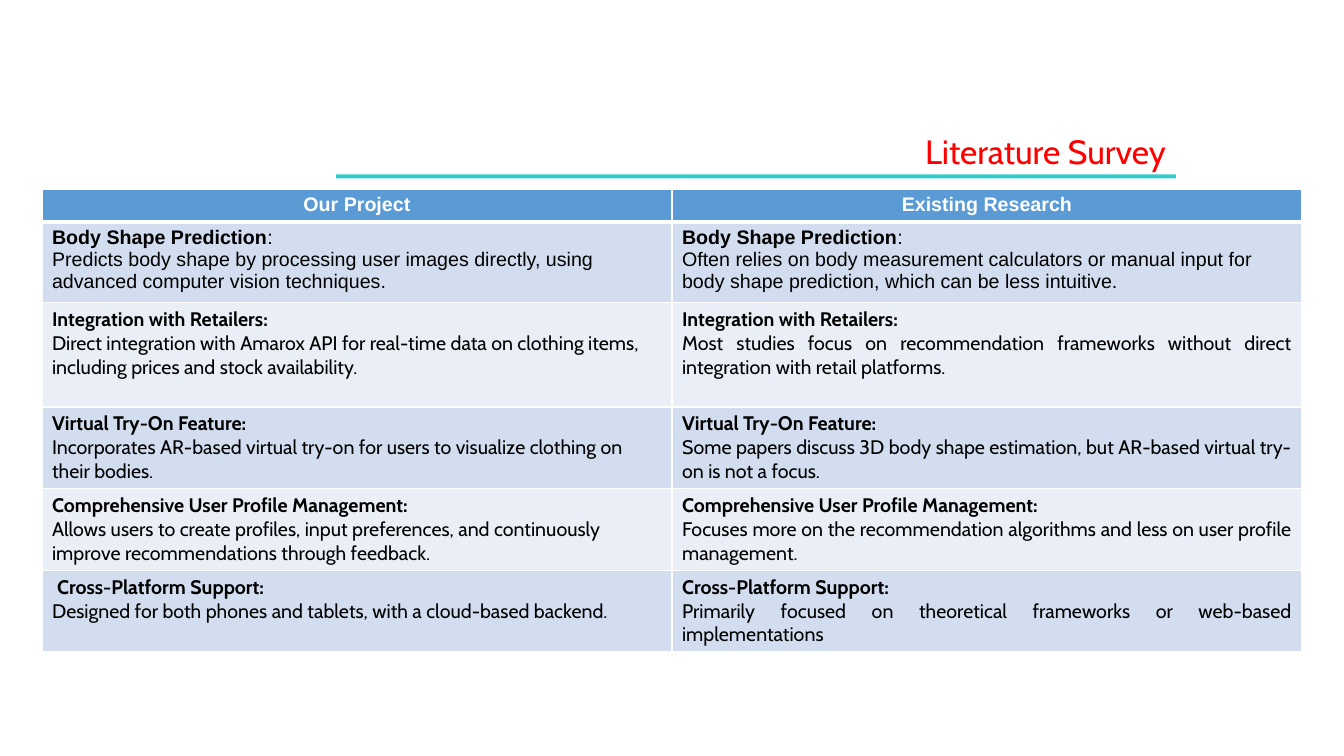
from dataclasses import dataclass

from lxml.etree import SubElement
from pptx import Presentation
from pptx.dml.color import RGBColor
from pptx.enum.shapes import MSO_SHAPE
from pptx.enum.text import MSO_ANCHOR, MSO_AUTO_SIZE, PP_ALIGN as Align
from pptx.oxml.ns import qn
from pptx.util import Emu, Inches, Pt

WHITE = RGBColor(0xFF, 0xFF, 0xFF)
BLACK = RGBColor(0x00, 0x00, 0x00)
RED = RGBColor(0xFF, 0x00, 0x00)
TEAL = RGBColor(0x33, 0xCC, 0xCC)
HEADER_BLUE = RGBColor(0x5B, 0x9B, 0xD5)
BANDS = (RGBColor(0xD2, 0xDE, 0xEF), RGBColor(0xEA, 0xEF, 0xF7))

SLIDE_WIDTH, SLIDE_HEIGHT = Inches(13.33), Inches(7.5)
GRID_COLUMNS, GRID_ROWS = 64, 36
HEADINGS = ("Our Project", "Existing Research")
HEADER_ROWS = 1.56


@dataclass(frozen=True)
class Area:
    left: float
    top: float
    width: float
    height: float


@dataclass(frozen=True)
class Topic:
    heading: str
    ours: str
    existing: str
    rows: float = 3.86
    font: str = "Cabin"
    bold_colon: bool = True
    existing_align: Align = Align.JUSTIFY
    our_indent: float = 0


TOPICS = (
    Topic("Body Shape Prediction",
          "Predicts body shape by processing user images directly, using advanced computer vision techniques.",
          "Often relies on body measurement calculators or manual input for body shape prediction, "
          "which can be less intuitive.",
          font="Arial", bold_colon=False, existing_align=Align.LEFT),
    Topic("Integration with Retailers",
          "Direct integration with Amarox API for real-time data on clothing items, "
          "including prices and stock availability.",
          "Most studies focus on recommendation frameworks without direct integration with retail platforms.",
          rows=4.96),
    Topic("Virtual Try-On Feature",
          "Incorporates AR-based virtual try-on for users to visualize clothing on their bodies.",
          "Some papers discuss 3D body shape estimation, but AR-based virtual try-on is not a focus."),
    Topic("Comprehensive User Profile Management",
          "Allows users to create profiles, input preferences, and continuously "
          "improve recommendations through feedback.",
          "Focuses more on the recommendation algorithms and less on user profile management."),
    Topic("Cross-Platform Support",
          "Designed for both phones and tablets, with a cloud-based backend.",
          "Primarily focused on theoretical frameworks or web-based implementations",
          our_indent=0.05),
)

TITLE_AREA = Area(22, 6, 34, 2.4)
RULE_AREA = Area(16, 8.3, 40, 0.2)
TABLE_AREA = Area(2, 9, 60, HEADER_ROWS + sum(topic.rows for topic in TOPICS))


def across(columns: float) -> Emu:
    """Convert grid columns to a length."""
    return Emu(round(SLIDE_WIDTH * columns / GRID_COLUMNS))


def down(rows: float) -> Emu:
    """Convert grid rows to a length."""
    return Emu(round(SLIDE_HEIGHT * rows / GRID_ROWS))


def frame(area: Area) -> tuple[Emu, Emu, Emu, Emu]:
    """Return the left, top, width and height of a grid area."""
    return across(area.left), down(area.top), across(area.width), down(area.height)


def style(span, font: str, size: float, color: RGBColor, bold: bool = False) -> None:
    """Format one run of text."""
    span.font.name, span.font.size, span.font.bold = font, Pt(size), bold
    span.font.color.rgb = color


def paint(cell, fill: RGBColor, top: float = 1, bottom: float = 1) -> None:
    """Fill a cell and give it white borders."""
    properties = cell._tc.get_or_add_tcPr()
    for side, points in (("L", 1), ("R", 1), ("T", top), ("B", bottom)):
        line = SubElement(properties, qn(f"a:ln{side}"), w=str(Pt(points)))
        solid = SubElement(line, qn("a:solidFill"))
        SubElement(solid, qn("a:srgbClr"), val=str(WHITE))
    cell.fill.solid()
    cell.fill.fore_color.rgb = fill


def write_topic(cell, topic: Topic, body: str, align: Align, indent: float) -> None:
    """Write a bold heading and its description in a cell."""
    cell.text_frame.text = f"{topic.heading}\n{body}"
    heading, description = cell.text_frame.paragraphs
    heading._p.get_or_add_pPr().set("indent", str(Inches(indent)))
    heading.add_run().text = ":"
    for para in (heading, description):
        para.alignment = align
    name, colon = heading.runs
    style(name, topic.font, 14, BLACK, True)
    style(colon, topic.font, 14, BLACK, topic.bold_colon)
    style(description.runs[0], topic.font, 14, BLACK)


def add_title(page) -> None:
    """Place the title and the rule under it."""
    rule = page.shapes.add_shape(MSO_SHAPE.RECTANGLE, *frame(RULE_AREA))
    rule.shadow.inherit = False
    rule.fill.solid()
    rule.fill.fore_color.rgb = TEAL
    rule.line.fill.background()
    title = page.shapes.title
    title.left, title.top, title.width, title.height = frame(TITLE_AREA)
    title.text_frame.text = "Literature Survey"
    title.text_frame.auto_size = MSO_AUTO_SIZE.NONE
    title.text_frame.vertical_anchor = MSO_ANCHOR.TOP
    para = title.text_frame.paragraphs[0]
    para.alignment = Align.RIGHT
    style(para.runs[0], "Cabin", 24, RED)


def add_comparison(page) -> None:
    """Build the table that compares the project with existing research."""
    table = page.shapes.add_table(len(TOPICS) + 1, len(HEADINGS), *frame(TABLE_AREA)).table
    table.rows[0].height = down(HEADER_ROWS)
    for column, heading in enumerate(HEADINGS):
        cell = table.cell(0, column)
        cell.text_frame.text = heading
        para = cell.text_frame.paragraphs[0]
        para.alignment = Align.CENTER
        style(para.runs[0], "Arial", 14, WHITE, True)
        paint(cell, HEADER_BLUE, bottom=3)
    for row, topic in enumerate(TOPICS, start=1):
        table.rows[row].height = down(topic.rows)
        ours, existing = table.cell(row, 0), table.cell(row, 1)
        write_topic(ours, topic, topic.ours, Align.LEFT, topic.our_indent)
        write_topic(existing, topic, topic.existing, topic.existing_align, 0)
        for cell in (ours, existing):
            paint(cell, BANDS[(row - 1) % 2], top=3 if row == 1 else 1)


def main() -> None:
    """Create the literature survey slide."""
    deck = Presentation()
    deck.slide_width, deck.slide_height = SLIDE_WIDTH, SLIDE_HEIGHT
    page = deck.slides.add_slide(deck.slide_layouts[5])
    add_title(page)
    add_comparison(page)
    deck.save("out.pptx")


if __name__ == "__main__":
    main()
